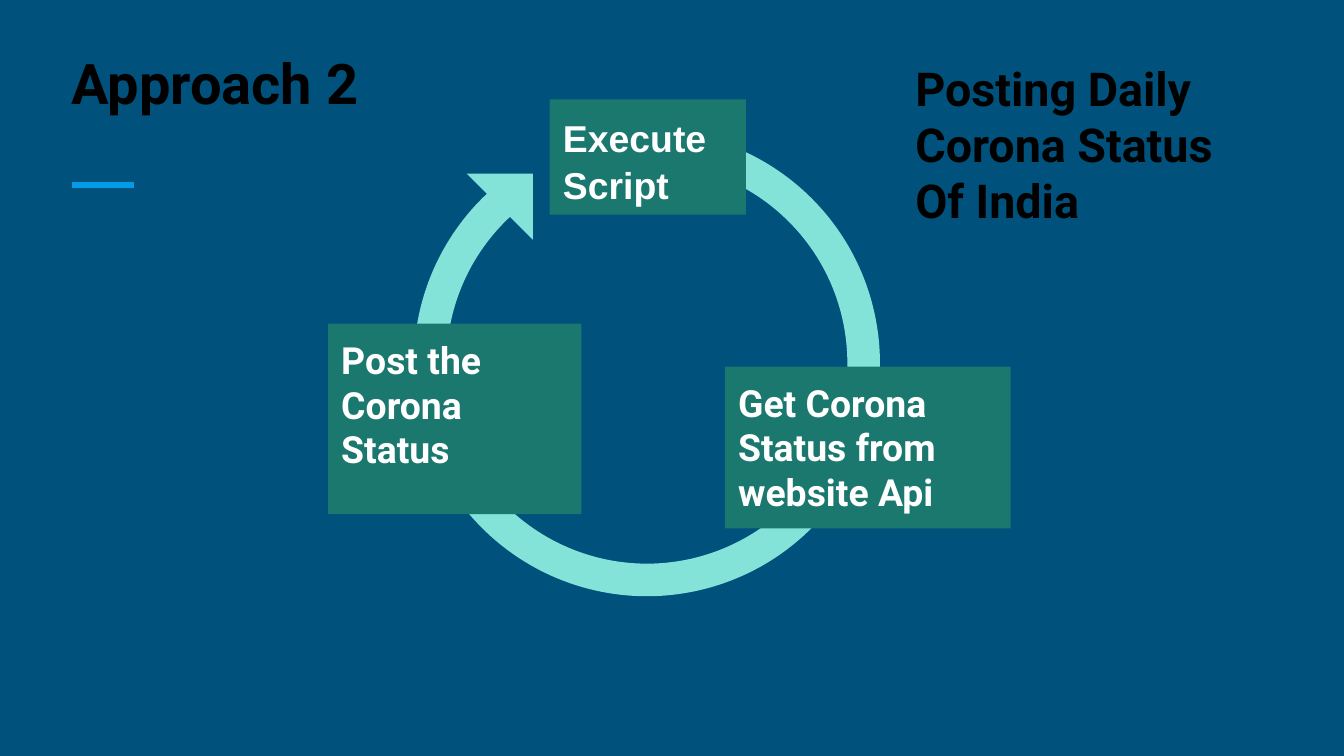
from pptx import Presentation, util as u
from pptx.dml.color import RGBColor
from pptx.enum import shapes, text
from pptx.oxml.ns import qn
from lxml import etree

Cm = u.Cm
KIND = shapes.MSO_SHAPE
MINT, GREEN, WHITE, BLACK = "83E3D9", "1B786E", "FFFFFF", "000000"


def paint(fill, tint):
    """Give a fill one solid colour from a hex string."""
    fill.solid()
    fill.fore_color.rgb = RGBColor.from_string(tint)


def write(shape, words, size, tint, face="Roboto", gap=None):
    """Put bold, left-aligned text at the top of a shape."""
    frame = shape.text_frame
    looks = {"word_wrap": True, "vertical_anchor": text.MSO_ANCHOR.TOP}
    for side in ("left", "top", "right", "bottom"):
        looks["margin_" + side] = Cm(0.25)
    for name, value in looks.items():
        setattr(frame, name, value)
    para = frame.paragraphs[0]
    para.alignment = text.PP_ALIGN.LEFT
    para.line_spacing = gap
    run = para.add_run()
    run.text = words
    for name, value in {"name": face, "size": u.Pt(size), "bold": True}.items():
        setattr(run.font, name, value)
    paint(run.font.fill, tint)


deck = Presentation()
deck.slide_width, deck.slide_height = Cm(25.4), Cm(14.29)
slide = deck.slides.add_slide(deck.slide_layouts[6])
paint(slide.background.fill, "00517C")

# Accent line under the title
rule = slide.shapes.add_connector(
    shapes.MSO_CONNECTOR.STRAIGHT, Cm(1.37), Cm(3.5), Cm(2.54), Cm(3.5))
rule.line.width = u.Pt(3)
paint(rule.line.fill, "039BE5")
etree.SubElement(rule._element.spPr, qn("a:effectLst"))

# Cycle arrow: ring and head, both turned half round
cycle = slide.shapes.add_group_shape()
ring = cycle.shapes.add_shape(
    KIND.BLOCK_ARC, Cm(7.82), Cm(2.46), Cm(8.81), Cm(8.81))
for spot, value in enumerate((90 * 0.6, 50.2 * 0.6, 0.07)):
    ring.adjustments[spot] = value
head = cycle.shapes.add_shape(
    KIND.RIGHT_TRIANGLE, Cm(8.82), Cm(3.28), Cm(1.25), Cm(1.25))
for part in (ring, head):
    part.rotation = 180
    part.shadow.inherit = False
    part.line.fill.background()
    paint(part.fill, MINT)

# Steps of the cycle
steps = [
    ("Get Corona Status from website Api", 13.7, 6.93, 5.4, 3.06, "Roboto", None),
    ("Execute Script", 10.39, 1.88, 3.71, 2.18, "Arial", 1.05),
    ("Post the Corona Status", 6.2, 6.12, 4.79, 3.6, "Roboto", None),
]
for words, left, top, width, height, face, gap in steps:
    box = slide.shapes.add_shape(
        KIND.RECTANGLE, Cm(left), Cm(top), Cm(width), Cm(height))
    box.shadow.inherit = False
    box.line.fill.background()
    paint(box.fill, GREEN)
    write(box, words, 20, WHITE, face, gap)

# Headings
heads = [
    ("Approach 2", 30, 1.1, 0.66, 7.21, 1.8),
    ("Posting Daily Corona Status Of India", 25, 17.05, 0.89, 6.48, 3.71),
]
for words, size, left, top, width, height in heads:
    label = slide.shapes.add_textbox(Cm(left), Cm(top), Cm(width), Cm(height))
    write(label, words, size, BLACK)
    label.text_frame.auto_size = text.MSO_AUTO_SIZE.SHAPE_TO_FIT_TEXT

deck.save("out.pptx")
